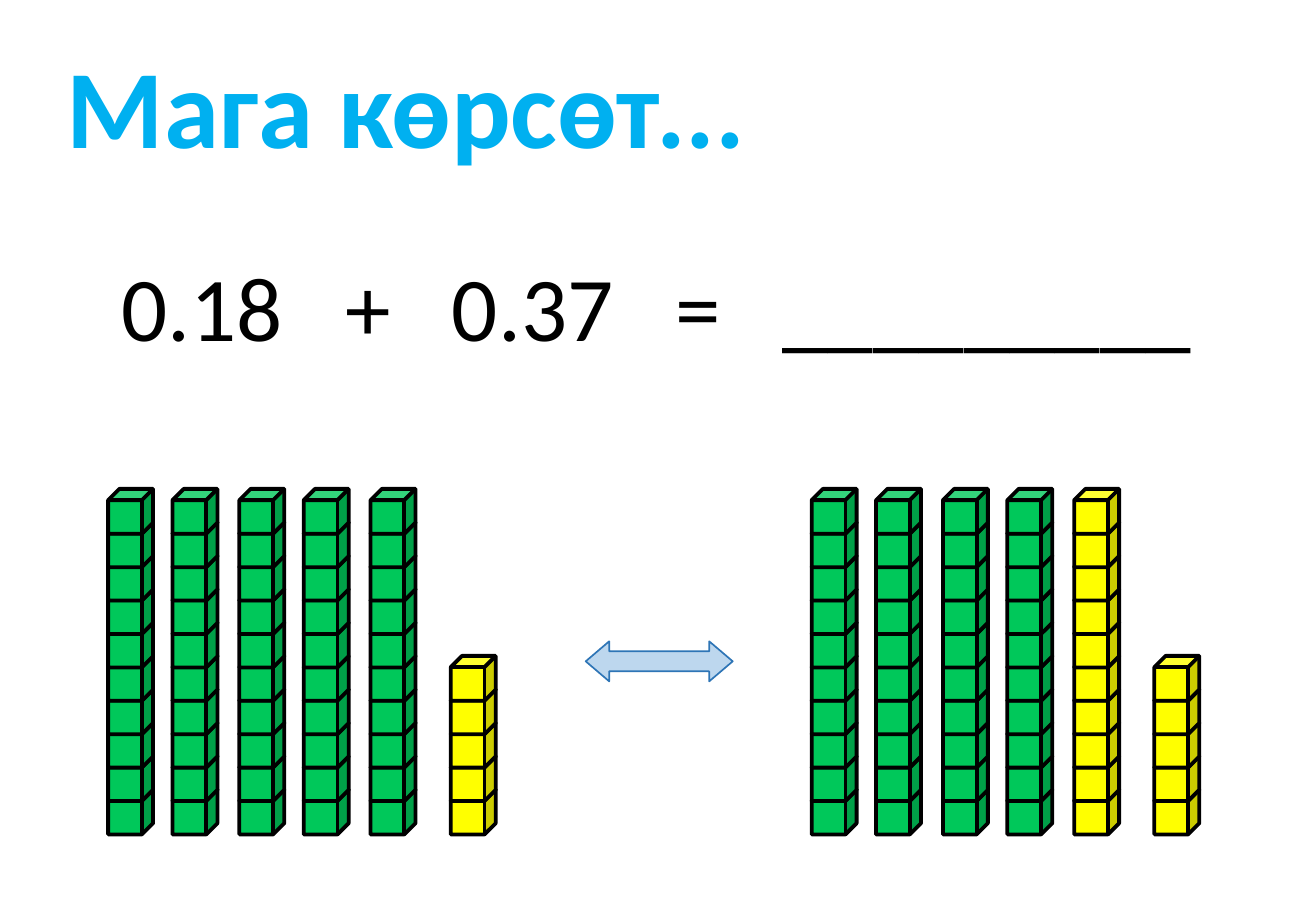
from lxml import etree
from pptx import Presentation
from pptx.dml.color import RGBColor
from pptx.enum.shapes import MSO_SHAPE
from pptx.oxml.ns import qn
from pptx.util import Inches, Pt

CUBE = MSO_SHAPE.CUBE
DOUBLE_ARROW = MSO_SHAPE.LEFT_RIGHT_ARROW

BLACK = RGBColor(0x00, 0x00, 0x00)
TITLE_BLUE = RGBColor(0x00, 0xB0, 0xF0)
GREEN = RGBColor(0x00, 0xC8, 0x5A)
YELLOW = RGBColor(0xFF, 0xFF, 0x00)
ARROW_FILL = RGBColor(0xBD, 0xD7, 0xEE)
ARROW_LINE = RGBColor(0x2E, 0x75, 0xB6)

CUBE_SIZE = 0.37
CUBE_PITCH = 0.275
COLUMN_OFFSETS = (0, 0.53, 1.08, 1.61, 2.16, 2.82)
EQUATION_TABS = (1.84, 2.72, 4.56, 5.44)


def add_text(slide, box, text, size, color, bold=False, indent=0.1, tabs=()):
    """Place one line of text, with optional tab stops in inches."""
    left, top, width, height = map(Inches, box)
    frame = slide.shapes.add_textbox(left, top, width, height).text_frame
    frame.word_wrap = True
    frame.margin_left = Inches(indent)
    para = frame.paragraphs[0]
    para.text = text
    if tabs:
        tab_list = etree.SubElement(para._p.get_or_add_pPr(), qn("a:tabLst"))
        for position in tabs:
            etree.SubElement(tab_list, qn("a:tab"),
                             pos=str(Inches(position)), algn="l")
    para.font.name = "Calibri"
    para.font.size = Pt(size)
    para.font.bold = bold
    para.font.color.rgb = color


def add_filled_shape(shapes, kind, box, fill, line, line_width):
    shape = shapes.add_shape(kind, *map(Inches, box))
    shape.shadow.inherit = False
    shape.fill.solid()
    shape.fill.fore_color.rgb = fill
    shape.line.color.rgb = line
    shape.line.width = Pt(line_width)
    return shape


def add_cube_column(slide, left, base, count, color):
    """Stack cubes upwards from the base line as one group."""
    column = slide.shapes.add_group_shape()
    for level in range(count):
        top = base - CUBE_SIZE - level * CUBE_PITCH
        add_filled_shape(column.shapes, CUBE, (left, top, CUBE_SIZE, CUBE_SIZE),
                         color, BLACK, 2.25)


def add_cube_set(slide, left, base, green_columns):
    """Draw five columns of ten cubes and one of five, green ones first."""
    for index, offset in enumerate(COLUMN_OFFSETS):
        is_last = index == len(COLUMN_OFFSETS) - 1
        add_cube_column(slide, left + offset, base, 5 if is_last else 10,
                        GREEN if index < green_columns else YELLOW)


def add_exchange_arrow(slide, box):
    arrow = add_filled_shape(slide.shapes, DOUBLE_ARROW, box,
                             ARROW_FILL, ARROW_LINE, 1)
    arrow.adjustments[1] = 0.586


def main():
    deck = Presentation()
    deck.slide_width = Inches(10.83)
    deck.slide_height = Inches(7.5)
    slide = deck.slides.add_slide(deck.slide_layouts[6])
    add_text(slide, (0.24, 0.26, 7.54, 1.21), "Мага көрсөт...", 66,
             TITLE_BLUE, bold=True, indent=0.31)
    add_text(slide, (0.87, 2.01, 9.1, 1.01), "0.18\t+\t0.37\t=\t_________", 54,
             BLACK, indent=0.13, tabs=EQUATION_TABS)
    add_cube_set(slide, 0.89, 6.87, green_columns=5)
    add_exchange_arrow(slide, (4.82, 5.28, 1.21, 0.33))
    add_cube_set(slide, 6.68, 6.87, green_columns=4)
    deck.save("out.pptx")


if __name__ == "__main__":
    main()
